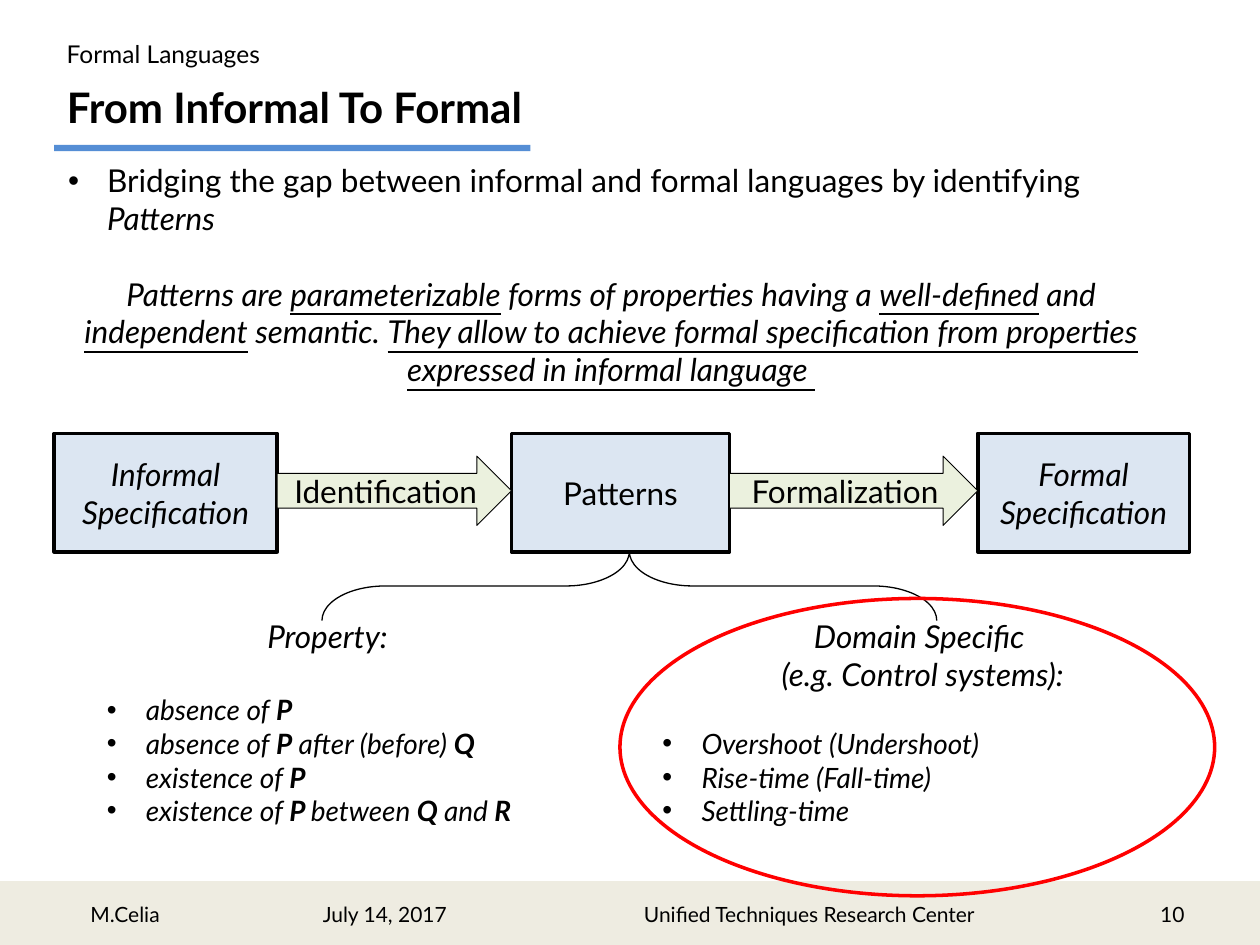
from lxml import etree
from pptx import Presentation
from pptx.dml.color import RGBColor
from pptx.enum.shapes import MSO_SHAPE
from pptx.enum.text import MSO_ANCHOR, MSO_AUTO_SIZE, PP_ALIGN
from pptx.oxml.ns import qn
from pptx.util import Inches, Pt

BLACK = RGBColor(0x00, 0x00, 0x00)
BAND = RGBColor(0xEE, 0xEC, 0xE1)
RULE_BLUE = RGBColor(0x55, 0x8E, 0xD5)
BOX_BLUE = RGBColor(0xDC, 0xE6, 0xF2)
ARROW_GREEN = RGBColor(0xEB, 0xF1, 0xDE)
RED = RGBColor(0xFF, 0x00, 0x00)

LEFT, CENTER, RIGHT = PP_ALIGN.LEFT, PP_ALIGN.CENTER, PP_ALIGN.RIGHT
TOP, MIDDLE = MSO_ANCHOR.TOP, MSO_ANCHOR.MIDDLE
NO_AUTOFIT = MSO_AUTO_SIZE.NONE
RECTANGLE, PROCESS = MSO_SHAPE.RECTANGLE, MSO_SHAPE.FLOWCHART_PROCESS
ARROW, BRACE, OVAL = MSO_SHAPE.RIGHT_ARROW, MSO_SHAPE.RIGHT_BRACE, MSO_SHAPE.OVAL

INDENT = Inches(0.31)
LINE_BREAK = "\v"


class SlideBuilder:
    """Draws styled elements on the current slide."""

    font_name = "Lato"

    def __init__(self, slide):
        self.slide = slide

    def fill_paragraph(self, paragraph, runs, size=18, align=LEFT, bullet=False, before=0):
        paragraph.alignment = align
        paragraph.space_before = Pt(before)
        properties = paragraph._p.get_or_add_pPr()
        properties.set("marL", str(INDENT if bullet else 0))
        properties.set("indent", str(-INDENT if bullet else 0))
        if bullet:
            etree.SubElement(properties, qn("a:buFont"), typeface="Arial")
            etree.SubElement(properties, qn("a:buChar"), char="•")
        else:
            etree.SubElement(properties, qn("a:buNone"))
        for text, style in runs:
            if text == LINE_BREAK:
                paragraph.add_line_break()
                continue
            run = paragraph.add_run()
            run.text = text
            run.font.name = self.font_name
            run.font.size = Pt(size)
            run.font.color.rgb = BLACK
            run.font.bold = "b" in style
            run.font.italic = "i" in style
            run.font.underline = "u" in style

    def fill_frame(self, frame, paragraphs, anchor=TOP):
        frame.word_wrap = True
        frame.auto_size = NO_AUTOFIT
        frame.vertical_anchor = anchor
        for index, (runs, options) in enumerate(paragraphs):
            paragraph = frame.add_paragraph() if index else frame.paragraphs[0]
            self.fill_paragraph(paragraph, runs, **options)

    def placeholder(self, index, box, paragraphs):
        shape = self.slide.placeholders[index]
        shape.left, shape.top, shape.width, shape.height = map(Inches, box)
        self.fill_frame(shape.text_frame, paragraphs)

    def text(self, box, paragraphs, anchor=TOP):
        shape = self.slide.shapes.add_textbox(*map(Inches, box))
        self.fill_frame(shape.text_frame, paragraphs, anchor)

    def shape(self, kind, box, fill=None, line=None, width=2, label=None, style=""):
        shape = self.slide.shapes.add_shape(kind, *map(Inches, box))
        shape.shadow.inherit = False
        if fill is None:
            shape.fill.background()
        else:
            shape.fill.solid()
            shape.fill.fore_color.rgb = fill
        if line is None:
            shape.line.fill.background()
        else:
            shape.line.color.rgb = line
            shape.line.width = Pt(width)
        if label:
            paragraphs = [([(label, style)], {"align": CENTER})]
            self.fill_frame(shape.text_frame, paragraphs, MIDDLE)
        return shape


def add_heading(builder):
    """Add the section name, title, rule and introduction."""
    builder.text((0.43, 0.26, 2.68, 0.34), [([("Formal Languages", "")], {"size": 14})])
    builder.placeholder(0, (0.43, 0.6, 4.02, 0.5),
                        [([("From Informal To Formal", "b")], {"size": 24})])
    builder.shape(RECTANGLE, (0.43, 1.15, 3.78, 0.05), RULE_BLUE)
    bridging = [("Bridging the gap between informal and formal languages by identifying ", ""),
                ("Patterns", "i")]
    definition = [
        ("Patterns are ", "i"), ("parameterizable", "iu"),
        (" forms of properties having a ", "i"), ("well-defined", "iu"),
        (" and ", "i"), ("independent", "iu"), (" semantic. ", "i"),
        ("They allow to achieve formal specification from properties "
         "expressed in informal language ", "iu"),
    ]
    builder.placeholder(1, (0.44, 1.23, 8.82, 1.92), [
        (bridging, {"bullet": True}),
        (definition, {"align": CENTER, "before": 21.6}),
    ])


def add_flow(builder):
    """Add the three boxes and the arrows that fill the gaps between them."""
    boxes = [(0.43, 1.77, "Informal Specification", "i"),
             (4.06, 1.73, "Patterns", ""),
             (7.76, 1.68, "Formal Specification", "i")]
    for left, width, label, style in boxes:
        builder.shape(PROCESS, (left, 3.44, width, 0.94), BOX_BLUE, BLACK, 2, label, style)
    for label, source, target in zip(("Identification", "Formalization"), boxes, boxes[1:]):
        start = source[0] + source[1]
        builder.shape(ARROW, (start, 3.62, target[0] - start, 0.55),
                      ARROW_GREEN, BLACK, 0.5, label)
    brace = builder.shape(BRACE, (4.72, 2.21, 0.55, 4.88), line=BLACK, width=0.75)
    brace.adjustments[0] = 0.915
    brace.rotation = 270


def add_pattern_list(builder, box, heading, items, gap):
    """Add a centred heading with a bulleted list below it."""
    paragraphs = [(heading, {"align": CENTER})]
    for index, runs in enumerate(items):
        before = 0 if index else gap
        paragraphs.append((runs, {"size": 16, "bullet": True, "before": before}))
    builder.text(box, paragraphs)


def add_patterns(builder):
    """Add both pattern families and highlight the domain specific one."""
    add_pattern_list(builder, (0.75, 4.85, 3.7, 1.78), [("Property:", "i")], [
        [("absence of ", "i"), ("P", "bi")],
        [("absence of ", "i"), ("P", "bi"), (" after (before) ", "i"), ("Q", "bi")],
        [("existence of ", "i"), ("P", "bi")],
        [("existence of ", "i"), ("P ", "bi"), ("between ", "i"), ("Q ", "bi"),
         ("and ", "i"), ("R", "bi")],
    ], 21.6)
    domain = [("Domain Specific ", "i"), (LINE_BREAK, ""), ("(e.g. Control systems):", "i")]
    measures = ("Overshoot (Undershoot)", "Rise-time (Fall-time)", "Settling-time")
    add_pattern_list(builder, (5.16, 4.85, 4.33, 1.78), domain,
                     [[(measure, "i")] for measure in measures], 19.2)
    builder.shape(OVAL, (4.92, 4.75, 4.72, 2.36), line=RED)


def add_footer(builder):
    """Add the footer band and its four texts."""
    builder.shape(RECTANGLE, (0, 7.01, 10, 0.49), BAND, BAND)
    for left, width, text, align in (
        (0.62, 1.13, "M.Celia", LEFT),
        (1.93, 2.25, "July 14, 2017", CENTER),
        (4.84, 3.17, "Unified Techniques Research Center", CENTER),
        (7.17, 2.33, "10", RIGHT),
    ):
        builder.text((left, 7.01, width, 0.49),
                     [([(text, "")], {"size": 12, "align": align})], MIDDLE)


def main():
    """Build and save the slide."""
    presentation = Presentation()
    presentation.slide_width, presentation.slide_height = Inches(10), Inches(7.5)
    slide = presentation.slides.add_slide(presentation.slide_layouts[1])
    builder = SlideBuilder(slide)
    add_footer(builder)
    add_heading(builder)
    add_flow(builder)
    add_patterns(builder)
    presentation.save("out.pptx")


if __name__ == "__main__":
    main()
